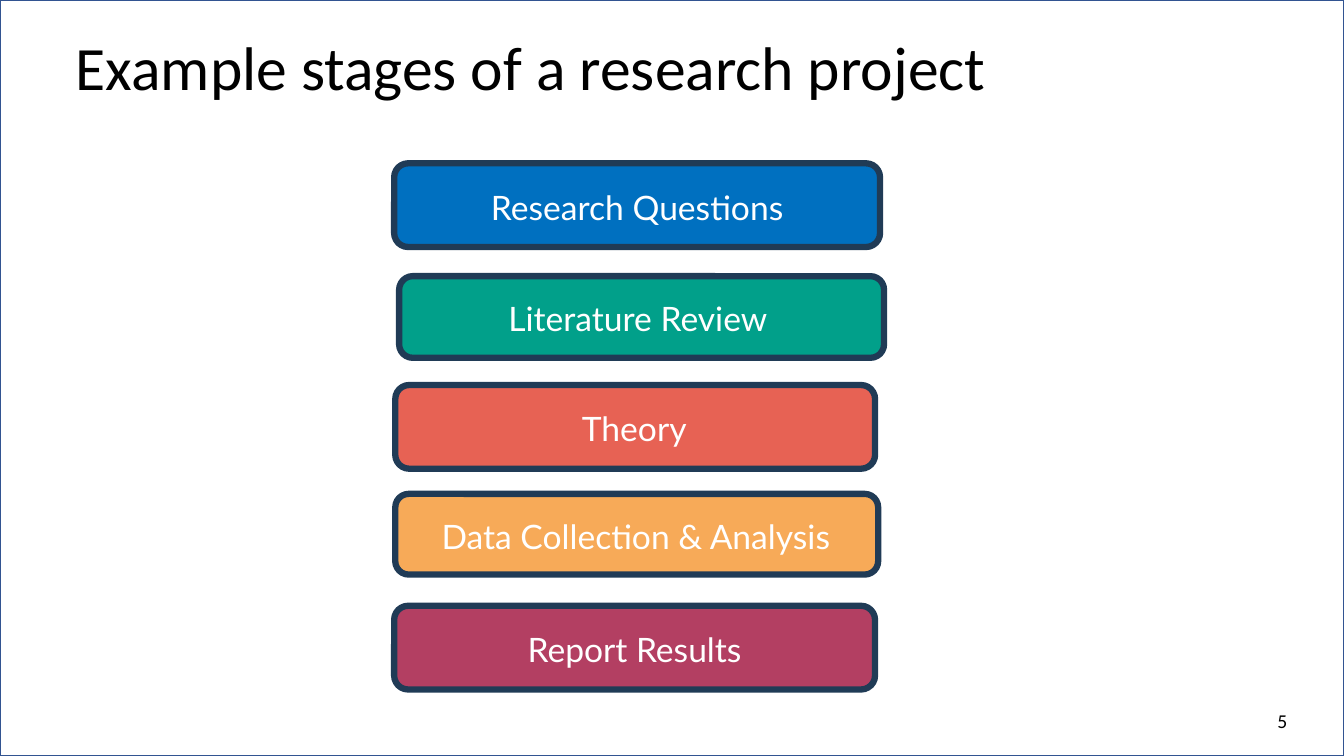
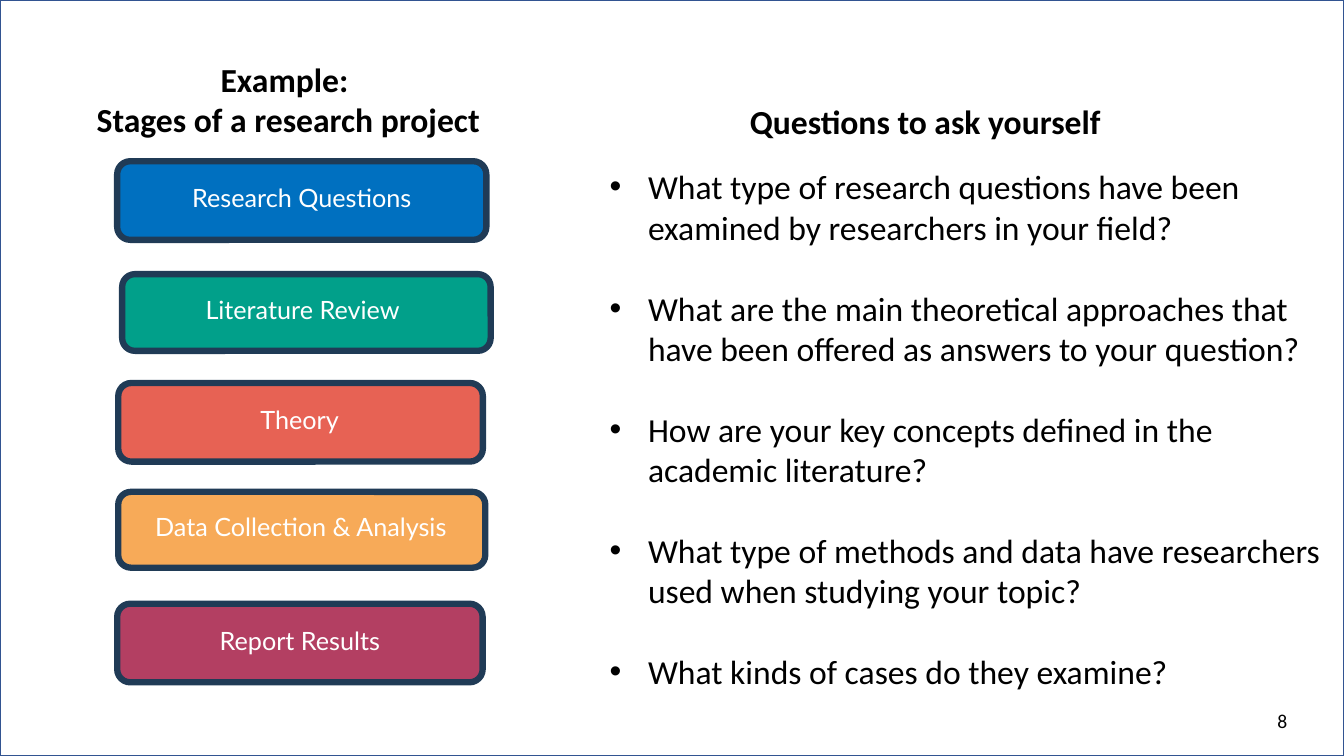
from lxml import etree
from pptx import Presentation
from pptx.dml.color import RGBColor
from pptx.enum.shapes import MSO_SHAPE
from pptx.enum.text import MSO_ANCHOR, MSO_AUTO_SIZE, PP_ALIGN
from pptx.oxml.ns import qn
from pptx.util import Inches, Pt

RECT, ROUND = MSO_SHAPE.RECTANGLE, MSO_SHAPE.ROUNDED_RECTANGLE
LEFT, MID, RIGHT = PP_ALIGN.LEFT, PP_ALIGN.CENTER, PP_ALIGN.RIGHT
TOP, CENTER = MSO_ANCHOR.TOP, MSO_ANCHOR.MIDDLE
FIXED = MSO_AUTO_SIZE.NONE

THEME = {
    "ink": "000000", "light": "FFFFFF", "frame": "325491", "edge": "203B56",
    "body": "Calibri", "label": "Lato",
    "title": 44, "text": 24, "number": 14, "thin": 1, "thick": 4.5, "gap": 29,
}

# Stages: label, fill, then shift, top, width and height in % of the slide
STAGES = [
    ("Research Questions", "0070C0", 0, 21.6, 36.15, 11.07),
    ("Literature Review", "01A08A", 0.37, 36.53, 36.08, 10.8),
    ("Theory", "E76254", 0.08, 50.93, 35.7, 11.07),
    ("Data Collection & Analysis", "F7AA58", 0.08, 65.33, 35.93, 10.67),
    ("Report Results", "B33F62", 0, 80.13, 35.78, 11.07),
]
ASKS = [
    "What type of research questions have been examined by researchers in your field?",
    "What are the main theoretical approaches that have been offered as answers to your question?",
    "How are your key concepts defined in the academic literature?",
    "What type of methods and data have researchers used when studying your topic?",
    "What kinds of cases do they examine?",
]

# Pages: title box in %, and the left edge, rise, scales and insets of the stages
PAGES = [
    {"number": "5", "title": ["Example stages of a research project"],
     "box": (4.88, 3.2, 87.45, 11.2), "font": {"size": Pt(THEME["title"])},
     "align": LEFT, "left": 29.33, "rise": 0, "wide": 1, "tall": 1,
     "label": 24, "inset": {"margin_top": Inches(0.08)}},
    {"number": "8", "title": ["Example: ", "Stages of a research project"],
     "box": (2.7, 7.07, 37.5, 12.13), "font": {"bold": True},
     "align": MID, "left": 8.72, "rise": 0.27, "wide": 0.76, "tall": 0.94,
     "label": 18, "inset": {"margin_bottom": Inches(0.11)}},
]

deck = Presentation()
deck.slide_width, deck.slide_height = Inches(13.33), Inches(7.5)


def area(x, y, w, h):
    """Turn shares of the slide, in %, into lengths."""
    wide, high = deck.slide_width / 100, deck.slide_height / 100
    return [int(x * wide), int(y * high), int(w * wide), int(h * high)]


def write(shape, lines, align=LEFT, anchor=TOP, color="ink", frame=None, **font):
    """Fill a shape with paragraphs in one format."""
    box = shape.text_frame
    look = {"word_wrap": True, "auto_size": FIXED, "vertical_anchor": anchor}
    for key, value in {**look, **(frame or {})}.items():
        setattr(box, key, value)
    style = {"name": THEME["body"], "size": Pt(THEME["text"]), "bold": False, **font}
    for i, line in enumerate(lines):
        para = box.add_paragraph() if i else box.paragraphs[0]
        para.alignment = align
        run = para.add_run()
        run.text = line
        for key, value in style.items():
            setattr(run.font, key, value)
        run.font.color.rgb = RGBColor.from_string(THEME[color])


for page in PAGES:
    slide = deck.slides.add_slide(deck.slide_layouts[5])
    shapes = slide.shapes

    # Thin frame around the slide
    edge = shapes.add_shape(RECT, *area(0, 0, 100, 100))
    edge.shadow.inherit = False
    edge.fill.background()
    edge.line.color.rgb = RGBColor.from_string(THEME["frame"])
    edge.line.width = Pt(THEME["thin"])

    # Title and page number
    title = shapes.title
    title.left, title.top, title.width, title.height = area(*page["box"])
    write(title, page["title"], page["align"], **page["font"])
    number = shapes.add_textbox(*area(74.03, 92.67, 22.5, 5.33))
    write(number, [page["number"]], RIGHT, CENTER, size=Pt(THEME["number"]))

    # Stack of stages
    for label, fill, shift, top, wide, high in STAGES:
        bar = shapes.add_shape(ROUND, *area(
            page["left"] + shift, top - page["rise"],
            wide * page["wide"], high * page["tall"]))
        bar.shadow.inherit = False
        bar.fill.solid()
        bar.fill.fore_color.rgb = RGBColor.from_string(fill)
        bar.line.color.rgb = RGBColor.from_string(THEME["edge"])
        bar.line.width = Pt(THEME["thick"])
        inset = {"margin_right": Inches(0.1 + 0.2 * shift), **page["inset"]}
        write(bar, [label], MID, CENTER, "light", inset,
              name=THEME["label"], size=Pt(page["label"]))

# Questions beside the stages on the last slide
head = shapes.add_textbox(*area(55.05, 12.67, 41.25, 6.67))
write(head, ["Questions to ask yourself"], bold=True)
asks = shapes.add_textbox(*area(44.63, 21.33, 54.38, 71.33))
write(asks, ASKS)
for para in asks.text_frame.paragraphs:
    para.space_after = Pt(THEME["gap"])
    props = para._p.get_or_add_pPr()
    props.set("marL", str(Inches(0.38)))
    props.set("indent", str(-Inches(0.38)))
    etree.SubElement(props, qn("a:buFont")).set("typeface", "Arial")
    etree.SubElement(props, qn("a:buChar")).set("char", "•")

deck.save("out.pptx")
